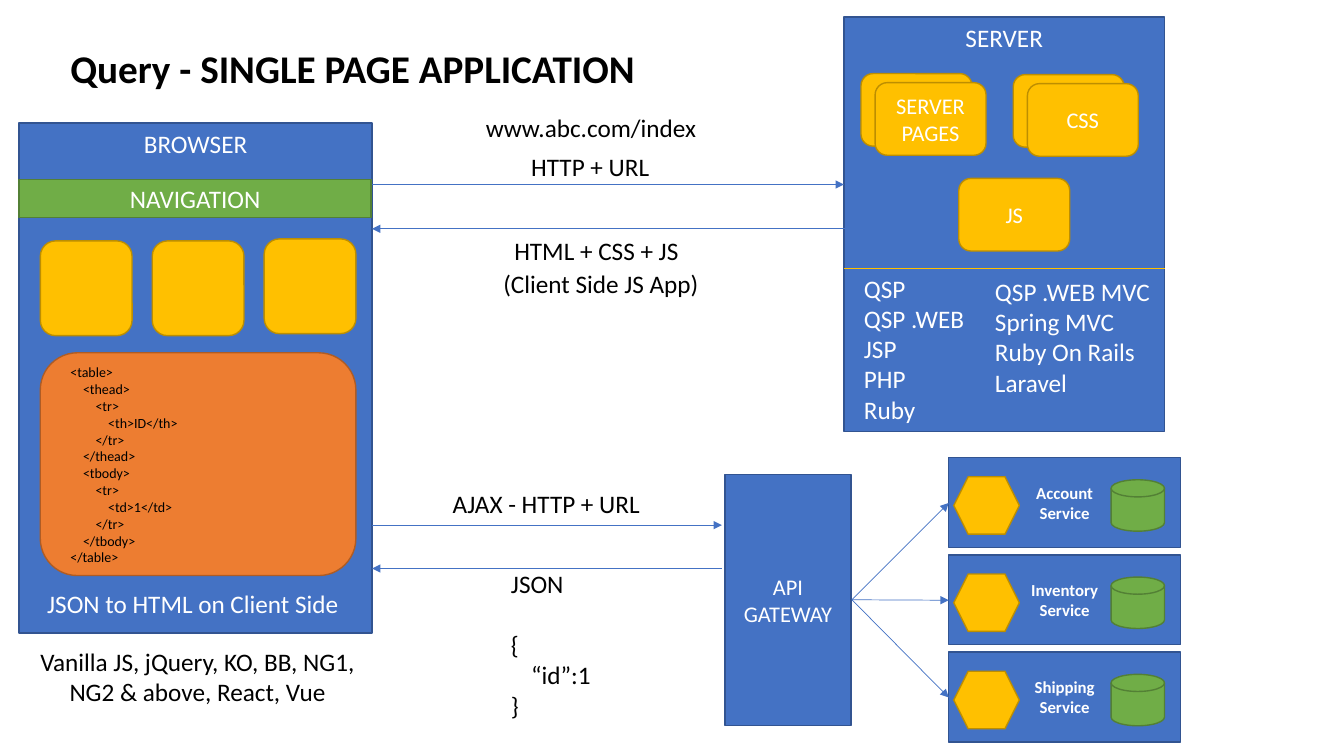
from lxml import etree
from pptx import Presentation
from pptx.dml.color import RGBColor
from pptx.enum.shapes import MSO_CONNECTOR, MSO_SHAPE as SHAPE
from pptx.enum.text import MSO_ANCHOR as ANCHOR, PP_ALIGN as ALIGN
from pptx.oxml.ns import qn
from pptx.util import Inches, Pt

COLORS = {
    "blue": "4472C4", "blue_edge": "325491",
    "gold": "FFC000", "gold_edge": "BD8E00",
    "green": "70AD47", "green_edge": "538035",
    "orange": "ED7D31", "orange_edge": "AF5C24",
    "white": "FFFFFF", "black": "000000",
}
FONT = "Calibri"

TABLE_CODE = """<table>
\t<thead>
\t\t<tr>
\t\t\t<th>ID</th>
\t\t</tr>
\t</thead>
\t<tbody>
\t\t<tr>
\t\t\t<td>1</td>
\t\t</tr>
\t</tbody>
</table>"""


def rgb(name):
    return RGBColor.from_string(COLORS[name])


def write(frame, text, size=18, color="black", bold=False, align=ALIGN.LEFT,
          anchor=ANCHOR.TOP, wrap=True, indent=0.0, gaps=None):
    """One paragraph per line; leading tabs become indent levels (inches each).

    gaps maps a line number to the points of space before it.
    """
    frame.word_wrap = wrap
    frame.vertical_anchor = anchor
    for number, line in enumerate(text.split("\n")):
        paragraph = frame.paragraphs[0] if number == 0 else frame.add_paragraph()
        paragraph.alignment = align
        content = line.lstrip("\t")
        level = len(line) - len(content)
        if level:
            margin = Inches(level * indent)
            paragraph._p.get_or_add_pPr().set("marL", str(margin))
        if gaps and number in gaps:
            paragraph.space_before = Pt(gaps[number])
        run = paragraph.add_run()
        run.text = content
        run.font.name = FONT
        run.font.size = Pt(size)
        run.font.bold = bold
        run.font.color.rgb = rgb(color)


def add_label(slide, text, left, top, width, height, **text_format):
    box = slide.shapes.add_textbox(
        Inches(left), Inches(top), Inches(width), Inches(height))
    write(box.text_frame, text, **text_format)


def add_block(slide, kind, color, left, top, width, height, text="",
              anchor=ANCHOR.MIDDLE, **text_format):
    block = slide.shapes.add_shape(
        kind, Inches(left), Inches(top), Inches(width), Inches(height))
    block.shadow.inherit = False
    block.fill.solid()
    block.fill.fore_color.rgb = rgb(color)
    block.line.color.rgb = rgb(color + "_edge")
    block.line.width = Pt(1)
    if text:
        write(block.text_frame, text, color="white", align=ALIGN.CENTER,
              anchor=anchor, **text_format)


def add_line(slide, start, end, color="blue", arrow=True):
    line = slide.shapes.add_connector(
        MSO_CONNECTOR.STRAIGHT, *(Inches(value) for value in start + end))
    line.line.color.rgb = rgb(color)
    line.line.width = Pt(0.5)
    if arrow:
        etree.SubElement(line.line._get_or_add_ln(), qn("a:tailEnd"), type="triangle")
    etree.SubElement(line._element.spPr, qn("a:effectLst"))


def add_card(slide, left, top, text=""):
    add_block(slide, SHAPE.ROUNDED_RECTANGLE, "gold", left, top, 1.1, 0.72,
              text, size=16)


def add_card_stack(slide, left, top, text):
    add_card(slide, left, top)
    add_card(slide, left + 0.14, top + 0.09, text)


def add_service(slide, top, name):
    add_block(slide, SHAPE.RECTANGLE, "blue", 9.41, top, 2.3, 0.89,
              name + "\nService", size=12, bold=True)
    add_block(slide, SHAPE.HEXAGON, "gold", 9.46, top + 0.19, 0.65, 0.57)
    add_block(slide, SHAPE.FLOWCHART_MAGNETIC_DISK, "green",
              11.02, top + 0.22, 0.53, 0.51)


def draw_server(slide):
    add_block(slide, SHAPE.RECTANGLE, "blue", 8.37, 0.17, 3.18, 4.11,
              "SERVER", anchor=ANCHOR.TOP)
    add_label(slide, "QSP\nQSP .WEB\nJSP\nPHP\nRuby", 8.47, 2.66, 1.21, 1.62,
              color="white", wrap=False)
    add_label(slide, "QSP .WEB MVC\nSpring MVC\nRuby On Rails\nLaravel",
              9.77, 2.69, 1.78, 1.31, color="white")
    add_card_stack(slide, 8.54, 0.73, "SERVER PAGES")
    add_card_stack(slide, 10.05, 0.74, "CSS")
    add_card(slide, 9.51, 1.77, "JS")
    add_line(slide, (8.37, 2.66), (11.55, 2.66), color="gold", arrow=False)


def draw_browser(slide):
    add_block(slide, SHAPE.RECTANGLE, "blue", 0.19, 1.22, 3.5, 5.06,
              "BROWSER", anchor=ANCHOR.TOP)
    add_block(slide, SHAPE.RECTANGLE, "green", 0.19, 1.78, 3.49, 0.38, "NAVIGATION")
    for column, top in enumerate((2.39, 2.39, 2.37)):
        add_block(slide, SHAPE.ROUNDED_RECTANGLE, "gold",
                  0.4 + 1.11 * column, top, 0.91, 0.94)
    add_block(slide, SHAPE.ROUNDED_RECTANGLE, "orange", 0.4, 3.5, 3.13, 2.21)
    add_label(slide, TABLE_CODE, 0.6, 3.56, 2.44, 2.12, size=10, indent=0.125)
    add_label(slide, "JSON to HTML on Client Side", 0.37, 5.79, 3.13, 0.4,
              color="white", wrap=False)
    add_label(slide, "Vanilla JS, jQuery, KO, BB, NG1,\nNG2 & above, React, Vue",
              0.28, 6.36, 3.36, 0.71, align=ALIGN.CENTER, wrap=False)


def draw_page_request(slide):
    add_label(slide, "www.abc.com/index", 4.72, 1.07, 2.31, 0.4, wrap=False)
    add_label(slide, "HTTP + URL", 5.17, 1.45, 1.39, 0.4, wrap=False)
    add_line(slide, (3.69, 1.83), (8.37, 1.83))
    add_line(slide, (8.38, 2.27), (3.69, 2.27))
    add_label(slide, "HTML + CSS + JS", 4.99, 2.29, 1.85, 0.4,
              align=ALIGN.CENTER, wrap=False)
    add_label(slide, "(Client Side JS App)", 4.69, 2.61, 2.54, 0.4,
              align=ALIGN.CENTER)


def draw_ajax_request(slide):
    add_label(slide, "AJAX - HTTP + URL", 4.39, 4.8, 2.08, 0.4, wrap=False)
    add_line(slide, (3.69, 5.21), (7.16, 5.21))
    add_line(slide, (7.16, 5.64), (3.69, 5.64))
    add_label(slide, "JSON\n{\n\t“id”:1\n}", 4.97, 5.59, 1, 1.62,
              wrap=False, indent=0.2, gaps={1: 22})


def draw_services(slide):
    add_block(slide, SHAPE.RECTANGLE, "blue", 7.19, 4.71, 1.25, 2.49,
              "API GATEWAY", size=16)
    for row, name in enumerate(("Account", "Inventory", "Shipping")):
        top = 4.54 + 0.965 * row
        add_service(slide, top, name)
        add_line(slide, (8.45, 5.95), (9.41, top + 0.45))


def main():
    deck = Presentation()
    deck.slide_width, deck.slide_height = Inches(13.33), Inches(7.5)
    slide = deck.slides.add_slide(deck.slide_layouts[6])

    # Title
    add_label(slide, "Query - SINGLE PAGE APPLICATION", 0.6, 0.39, 5.87, 0.57,
              size=28, bold=True, wrap=False)
    # Server and browser
    draw_server(slide)
    draw_browser(slide)
    # Traffic between them
    draw_page_request(slide)
    draw_ajax_request(slide)
    # Gateway and its services
    draw_services(slide)

    deck.save("out.pptx")


if __name__ == "__main__":
    main()
